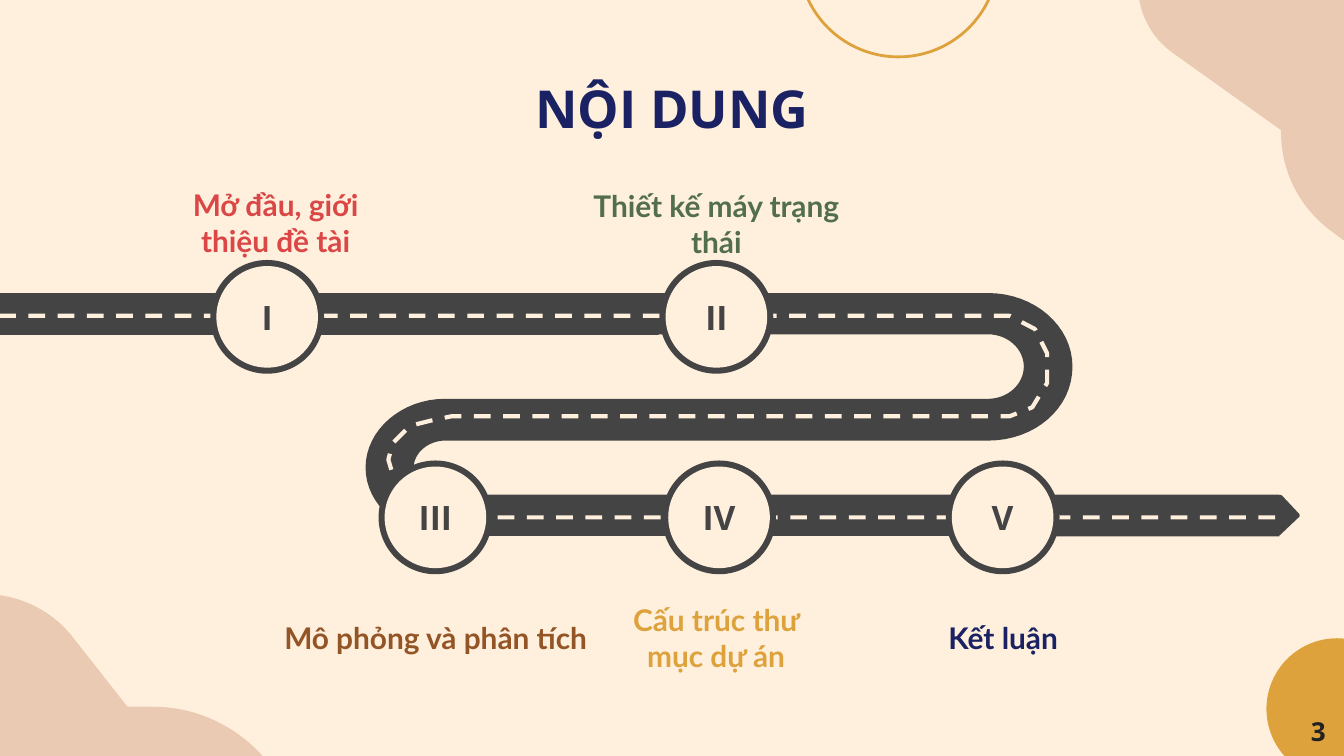
from typing import NamedTuple

from pptx import Presentation
from pptx.dml.color import RGBColor
from pptx.enum.dml import MSO_LINE
from pptx.enum.shapes import MSO_SHAPE
from pptx.enum.text import MSO_ANCHOR, MSO_AUTO_SIZE, PP_ALIGN
from pptx.util import Cm, Pt

CREAM, ROAD, PEACH, GOLD, NAVY = "FFF0DE", "444444", "EBCAB3", "DEA23C", "1A2263"
HEAD_FONT, BODY_FONT = "Open Sans", "Lato"
ROW_1, ROW_2 = 5.99, 9.78  # centre lines of the two rows of stops
ROAD_WIDTH = 0.79


class Box(NamedTuple):
    """Left, top, width and height in centimetres."""
    x: float
    y: float
    w: float
    h: float

    def emu(self) -> list[Cm]:
        return [Cm(v) for v in self]


class Stop(NamedTuple):
    numeral: str
    cx: float
    cy: float
    label: str
    color: str
    box: Box


STOPS = [
    Stop("I", 5.05, ROW_1, "Mở đầu, giới thiệu đề tài", "DB4646", Box(2.95, 3.68, 4.52, 1.07)),
    Stop("II", 13.54, ROW_1, "Thiết kế máy trạng thái", "536E4C", Box(10.77, 3.61, 5.54, 1.24)),
    Stop("III", 8.23, ROW_2, "Mô phỏng và phân tích", "945526", Box(5.21, 10.97, 6.05, 2.16)),
    Stop("IV", 13.59, ROW_2, "Cấu trúc thư mục dự án", GOLD, Box(11.3, 10.54, 4.47, 3.02)),
    Stop("V", 18.95, ROW_2, "Kết luận", NAVY, Box(16.71, 10.95, 4.5, 2.21)),
]

# Outlines in cm: two numbers are a straight step, six are a Bézier curve
BLOB_LEFT = [
    (-0.3, 11.23), (-0.3, 13.56), (-0.3, 14.12, 0.15, 14.6, 0.71, 14.6),
    (5.21, 14.6), (5, 14.33), (4.47, 13.72, 3.71, 13.36, 2.9, 13.36),
    (2.41, 13.36), (1.35, 12.01), (0.94, 11.51, 0.33, 11.23, -0.3, 11.23),
]
BLOB_RIGHT = [
    (21.51, -0.28), (21.51, 0.23, 21.74, 0.69, 22.15, 0.99), (24.21, 2.46),
    (24.21, 2.49), (24.21, 3.23, 24.54, 3.89, 25.12, 4.34), (25.78, 4.83),
    (25.78, 0.58), (25.78, 0.1, 25.4, -0.28, 24.92, -0.28),
]
BENDS = [
    (7.37, 5.54), (18.67, 5.54),
    (19.56, 5.54, 20.27, 6.17, 20.27, 6.93), (20.27, 7.72, 19.56, 8.33, 18.67, 8.33),
    (8.41, 8.33),
    (8.1, 8.33, 7.82, 8.56, 7.82, 8.84), (7.82, 9.12, 8.1, 9.35, 8.41, 9.35),
    (19.81, 9.35), (19.81, 10.13), (8.41, 10.13),
    (7.59, 10.13, 6.91, 9.55, 6.91, 8.84), (6.91, 8.13, 7.59, 7.54, 8.41, 7.54),
    (18.67, 7.54),
    (19.05, 7.54, 19.35, 7.26, 19.35, 6.93), (19.35, 6.6, 19.05, 6.32, 18.67, 6.32),
    (7.37, 6.32),
]
LANE_MARKS = [
    (24.1, 9.78), (8.28, 9.78), (7.77, 9.5), (7.49, 9.19), (7.34, 8.69), (7.42, 8.38),
    (7.75, 8.05), (8.15, 7.95), (8.53, 7.87), (19.08, 7.87), (19.51, 7.7), (19.79, 7.24),
    (19.79, 6.68), (19.56, 6.22), (19.08, 5.97), (1.4, 5.97), (-0.18, 5.97),
]


def rgb(color: str) -> RGBColor:
    return RGBColor.from_string(color)


def paint(sp, fill: str | None = None, line: str | None = None, width: float = 1) -> None:
    sp.shadow.inherit = False
    if fill:
        sp.fill.solid()
        sp.fill.fore_color.rgb = rgb(fill)
    else:
        sp.fill.background()
    if line:
        sp.line.color.rgb = rgb(line)
        sp.line.width = Pt(width)
    else:
        sp.line.fill.background()


def add_preset(s, kind: MSO_SHAPE, box: Box, fill: str | None = None,
               line: str | None = None, width: float = 1):
    sp = s.shapes.add_shape(kind, *box.emu())
    paint(sp, fill, line, width)
    return sp


def add_disc(s, cx: float, cy: float, d: float, fill: str | None = None,
             line: str | None = None, width: float = 1):
    return add_preset(s, MSO_SHAPE.OVAL, Box(cx - d / 2, cy - d / 2, d, d), fill, line, width)


def flatten(outline: list[tuple], steps: int = 16) -> list[tuple]:
    """Turn the curves of an outline into short straight steps, in EMU."""
    points = []
    for seg in outline:
        if len(seg) == 2:
            points.append(seg)
            continue
        knots = (points[-1], seg[:2], seg[2:4], seg[4:])
        for i in range(1, steps + 1):
            t = i / steps
            weights = ((1 - t) ** 3, 3 * t * (1 - t) ** 2, 3 * t * t * (1 - t), t ** 3)
            points.append(tuple(sum(w * k[a] for w, k in zip(weights, knots)) for a in (0, 1)))
    return [(Cm(x), Cm(y)) for x, y in points]


def add_outline(s, outline: list[tuple], close: bool = True):
    start, *rest = flatten(outline)
    builder = s.shapes.build_freeform(*start)
    builder.add_line_segments(rest, close=close)
    return builder.convert_to_shape()


def write(sp, text: str, size: int, font: str, color: str, margins: tuple = (0.1, 0.05),
          anchor: MSO_ANCHOR = MSO_ANCHOR.MIDDLE) -> None:
    tf = sp.text_frame
    tf.word_wrap = True
    tf.auto_size = MSO_AUTO_SIZE.NONE
    tf.vertical_anchor = anchor
    tf.margin_left = tf.margin_right = Cm(margins[0])
    tf.margin_top = tf.margin_bottom = Cm(margins[1])
    p = tf.paragraphs[0]
    p.alignment = PP_ALIGN.CENTER
    r = p.add_run()
    r.text = text
    r.font.size, r.font.name, r.font.bold = Pt(size), font, True
    r.font.color.rgb = rgb(color)


def add_stop(s, stop: Stop) -> None:
    add_disc(s, stop.cx, stop.cy, 2.15, ROAD)
    write(add_disc(s, stop.cx, stop.cy, 1.92, CREAM), stop.numeral, 18, HEAD_FONT, ROAD)
    write(s.shapes.add_textbox(*stop.box.emu()), stop.label, 16, BODY_FONT, stop.color)


def main() -> None:
    prs = Presentation()
    prs.slide_width, prs.slide_height = Cm(25.4), Cm(14.29)
    s = prs.slides.add_slide(prs.slide_layouts[5])
    s.background.fill.solid()
    s.background.fill.fore_color.rgb = rgb(CREAM)

    # Title
    title = s.shapes.title
    title.left, title.top, title.width, title.height = Box(1.98, 1.24, 21.44, 1.6).emu()
    write(title, "NỘI DUNG", 28, HEAD_FONT, NAVY, (0.25, 0.25))

    # Corner decoration
    for blob in (BLOB_LEFT, BLOB_RIGHT):
        paint(add_outline(s, blob), PEACH)
    add_disc(s, 16.98, -0.81, 3.77, line=GOLD, width=1.5)
    add_disc(s, 25.27, 13.4, 2.67, GOLD)

    # Road with its arrow tip and lane marks
    add_preset(s, MSO_SHAPE.RECTANGLE, Box(-0.05, 5.54, 12.5, ROAD_WIDTH), ROAD)
    tip = add_preset(s, MSO_SHAPE.ROUNDED_RECTANGLE, Box(23.9, 9.45, 0.56, 0.58), ROAD)
    tip.adjustments[0] = 0.08
    tip.rotation = 46.6
    add_preset(s, MSO_SHAPE.RECTANGLE, Box(19.33, 9.35, 4.85, ROAD_WIDTH), ROAD)
    paint(add_outline(s, BENDS), ROAD)
    marks = add_outline(s, LANE_MARKS, close=False)
    paint(marks, line=CREAM, width=2.25)
    marks.line.dash_style = MSO_LINE.DASH

    # Numbered stops and their labels
    for stop in STOPS:
        add_stop(s, stop)

    # Page number
    number = s.shapes.add_textbox(*Box(24.43, 13.39, 0.97, 0.89).emu())
    write(number, "3", 14, HEAD_FONT, "222222", (0.25, 0.13), MSO_ANCHOR.TOP)

    prs.save("out.pptx")


if __name__ == "__main__":
    main()
